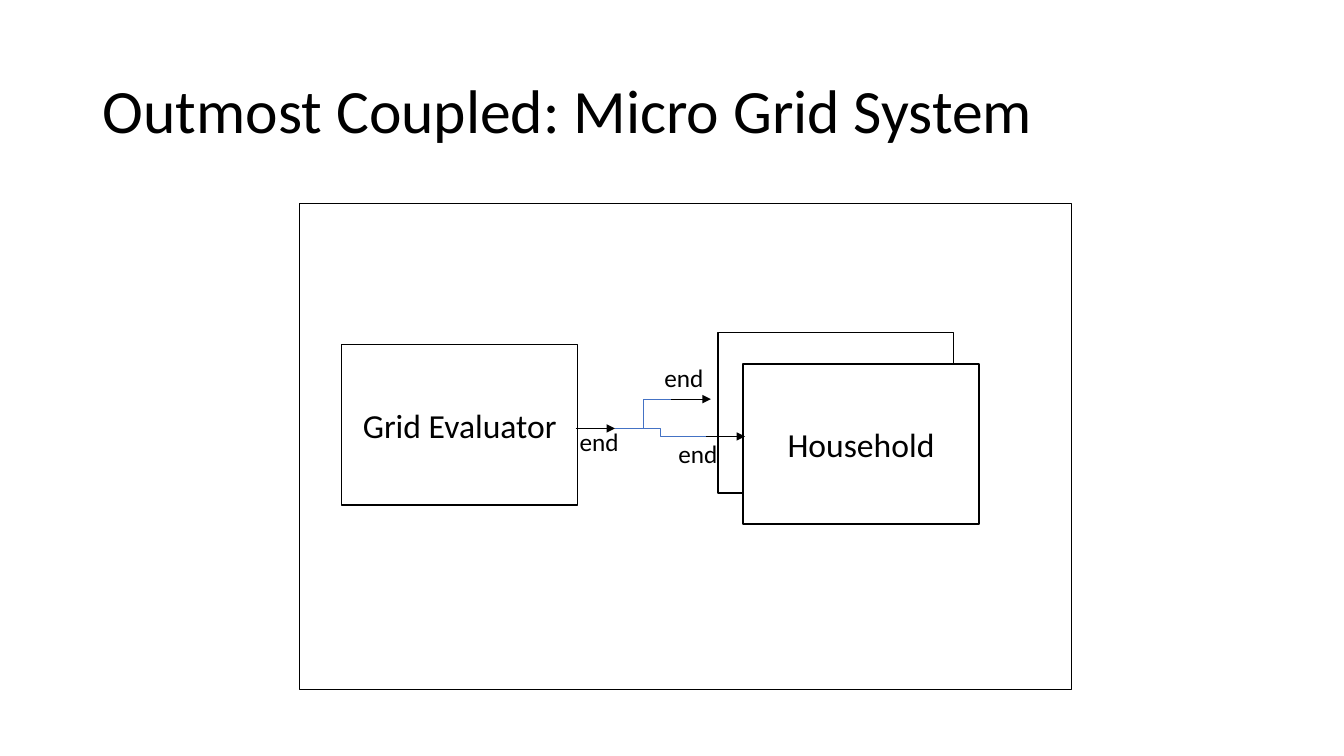
from pptx import Presentation
from pptx.dml.color import RGBColor
from pptx.enum.shapes import MSO_CONNECTOR, MSO_SHAPE
from pptx.enum.text import MSO_ANCHOR, MSO_AUTO_SIZE, PP_ALIGN
from pptx.oxml.ns import qn
from pptx.util import Inches, Pt
from lxml import etree

RECT = MSO_SHAPE.RECTANGLE
LINE = MSO_CONNECTOR.STRAIGHT
BENT = MSO_CONNECTOR.ELBOW
MIDDLE, TOP = MSO_ANCHOR.MIDDLE, MSO_ANCHOR.TOP
LEFT, CENTER = PP_ALIGN.LEFT, PP_ALIGN.CENTER
FIXED, GROW = MSO_AUTO_SIZE.NONE, MSO_AUTO_SIZE.SHAPE_TO_FIT_TEXT

COLORS = {"ink": "000000", "paper": "FFFFFF", "link": "4472C4"}
FONT = "Calibri"
BOX_SIZE = (2.34, 1.59)
TAG_SIZE = (0.59, 0.4)
PORT = 0.39


def color(name):
    return RGBColor.from_string(COLORS[name])


def apply(target, values):
    for name, value in values.items():
        setattr(target, name, value)


class Board:
    def __init__(self, slide):
        self.slide = slide
        self.shapes = slide.shapes

    def label(self, shape, text, size, align, frame, spacing=None):
        body = shape.text_frame
        body.text = text
        apply(body, frame)
        para = body.paragraphs[0]
        apply(para, {"alignment": align, "line_spacing": spacing})
        font = para.runs[0].font
        apply(font, {"name": FONT, "size": Pt(size)})
        font.color.rgb = color("ink")

    def title(self, text, left, top, width, height):
        shape = self.shapes.title
        apply(shape, {"left": Inches(left), "top": Inches(top),
                      "width": Inches(width), "height": Inches(height)})
        frame = {"vertical_anchor": MIDDLE, "word_wrap": True, "auto_size": FIXED}
        self.label(shape, text, 44, LEFT, frame, 0.9)

    def box(self, left, top, width, height, text=None):
        shape = self.shapes.add_shape(
            RECT, Inches(left), Inches(top), Inches(width), Inches(height))
        shape.shadow.inherit = False
        shape.fill.solid()
        shape.fill.fore_color.rgb = color("paper")
        shape.line.color.rgb = color("ink")
        shape.line.width = Pt(1)
        if text:
            frame = {"vertical_anchor": MIDDLE, "word_wrap": True}
            self.label(shape, text, 24, CENTER, frame)

    def tag(self, text, left, top):
        width, height = TAG_SIZE
        shape = self.shapes.add_textbox(
            Inches(left), Inches(top), Inches(width), Inches(height))
        frame = {"vertical_anchor": TOP, "word_wrap": False, "auto_size": GROW}
        self.label(shape, text, 18, LEFT, frame)

    def wire(self, kind, start, end, tint):
        link = self.shapes.add_connector(
            kind, *(Inches(value) for value in (*start, *end)))
        link.line.color.rgb = color(tint)
        link.line.width = Pt(0.5)
        etree.SubElement(link._element.spPr, qn("a:effectLst"))
        return link

    def arrow(self, left, top):
        link = self.wire(LINE, (left, top), (left + PORT, top), "ink")
        line = link._element.spPr.find(qn("a:ln"))
        etree.SubElement(line, qn("a:tailEnd"), type="triangle")


def main():
    deck = Presentation()
    apply(deck, {"slide_width": Inches(13.33), "slide_height": Inches(7.5)})
    board = Board(deck.slides.add_slide(deck.slide_layouts[5]))

    board.box(2.97, 2.02, 7.66, 4.82)
    board.title("Outmost Coupled: Micro Grid System", 0.92, 0.4, 11.5, 1.45)
    board.box(7.12, 3.3, *BOX_SIZE, "Household")
    board.box(3.39, 3.42, *BOX_SIZE, "Grid Evaluator")
    board.arrow(5.71, 4.25)
    board.arrow(6.66, 3.96)
    board.tag("end", 6.49, 3.55)
    board.tag("end", 5.65, 4.18)
    board.box(7.37, 3.61, *BOX_SIZE, "Household")
    board.arrow(7, 4.33)
    board.tag("end", 6.63, 4.3)
    for end in ((6.66, 3.96), (7, 4.33)):
        board.wire(BENT, (6.1, 4.25), end, "link")

    deck.save("out.pptx")


if __name__ == "__main__":
    main()
